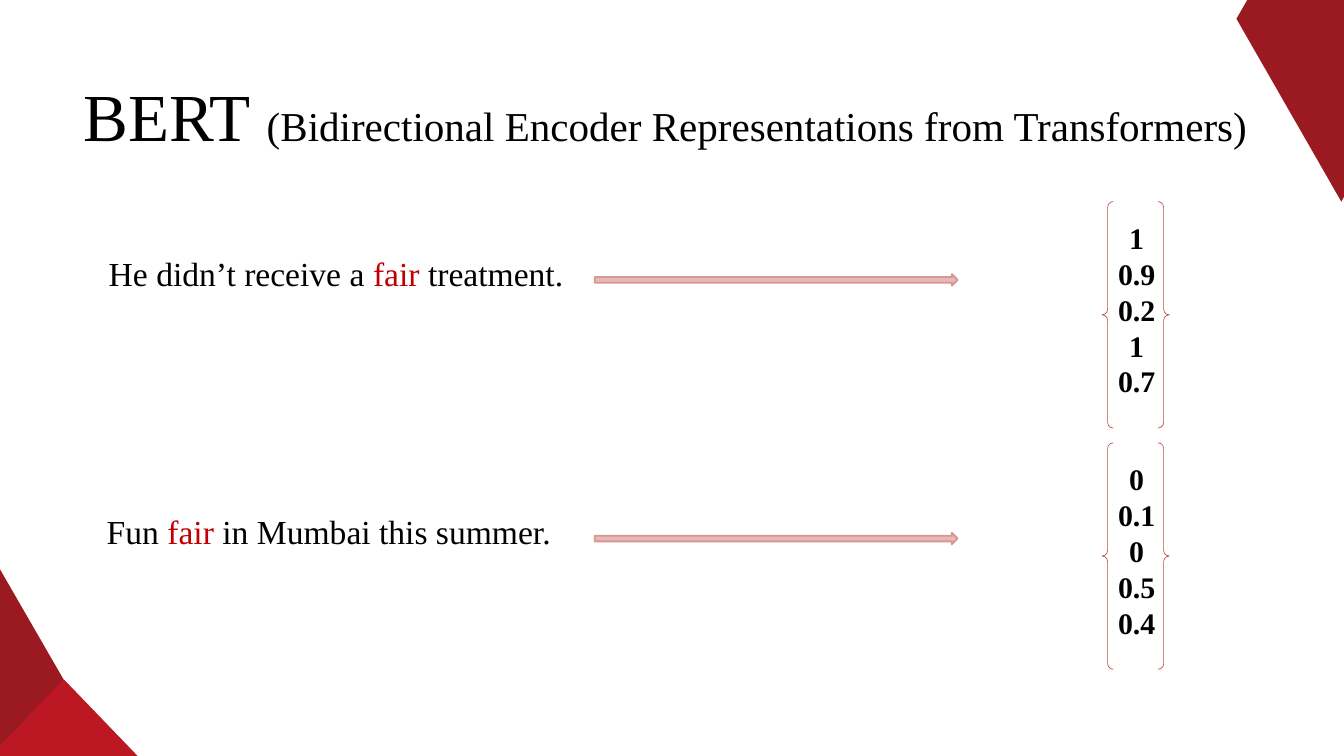
from pptx import Presentation
from pptx.dml.color import RGBColor
from pptx.enum.shapes import MSO_SHAPE as Shape
from pptx.enum.text import MSO_ANCHOR as Anchor, MSO_AUTO_SIZE as AutoSize, PP_ALIGN as Align
from pptx.util import Inches, Pt

FONT = "Times New Roman"
BLACK = RGBColor(0x00, 0x00, 0x00)
HIGHLIGHT = RGBColor(0xC0, 0x00, 0x00)
DARK_RED = RGBColor(0x9B, 0x19, 0x21)
BRIGHT_RED = RGBColor(0xBC, 0x18, 0x23)
ARROW_FILL = RGBColor(0xE6, 0xB9, 0xB8)
ARROW_LINE = RGBColor(0xD9, 0x96, 0x94)
BRACE_LINE = RGBColor(0xBF, 0x4C, 0x48)

LEFT_DIAMOND = [(-0.03, 13.86), (-1.59, 11.14), (-0.03, 8.42), (1.54, 11.14)]
LEFT_TRIANGLE = [(0.95, 10.11), (-0.62, 11.74), (2.52, 11.74)]
RIGHT_DIAMOND = [(19.96, -2.44), (21.53, 0.28), (19.96, 3), (18.4, 0.28)]

EXAMPLES = [
    (("He didn’t receive a ", "fair", " treatment."), (1.52, 3.71), 4.08,
     ("1", "0.9", "0.21", "0.7"), 3),
    (("Fun ", "fair", " in Mumbai this summer."), (1.49, 7.55), 7.93,
     ("0", "0.1", "0", "0.5", "0.4"), 6.59),
]


def add_corner(slide, points, color):
    corners = [(Inches(x), Inches(y)) for x, y in points]
    builder = slide.shapes.build_freeform(*corners[0])
    builder.add_line_segments(corners[1:], close=True)
    corner = builder.convert_to_shape()
    corner.shadow.inherit = False
    corner.fill.solid()
    corner.fill.fore_color.rgb = color
    corner.line.fill.background()


def add_run(paragraph, text, size, color=BLACK, bold=False):
    run = paragraph.add_run()
    run.text = text
    run.font.name = FONT
    run.font.size = Pt(size)
    run.font.bold = bold
    run.font.color.rgb = color


def set_title(slide):
    title = slide.shapes.title
    title.left, title.top = Inches(0.83), Inches(0.51)
    title.width, title.height = Inches(18.16), Inches(1.59)
    frame = title.text_frame
    frame.margin_left = frame.margin_top = frame.margin_right = frame.margin_bottom = 0
    frame.word_wrap = True
    frame.auto_size = AutoSize.SHAPE_TO_FIT_TEXT
    frame.vertical_anchor = Anchor.TOP
    heading = frame.paragraphs[0]
    heading.alignment = Align.CENTER
    heading.line_spacing = Pt(128.8)
    add_run(heading, "BERT ", 72)
    add_run(heading, "(Bidirectional Encoder Representations from Transformers)", 44)


def add_text_frame(slide, left, top, width, height):
    box = slide.shapes.add_textbox(Inches(left), Inches(top), Inches(width), Inches(height))
    frame = box.text_frame
    frame.word_wrap = True
    frame.auto_size = AutoSize.SHAPE_TO_FIT_TEXT
    return frame


def add_sentence(slide, parts, left, top):
    sentence = add_text_frame(slide, left, top, 7.33, 0.71).paragraphs[0]
    for text, color in zip(parts, (BLACK, HIGHLIGHT, BLACK)):
        add_run(sentence, text, 36, color)


def add_outlined(slide, kind, left, top, width, height, color, weight):
    outlined = slide.shapes.add_shape(
        kind, Inches(left), Inches(top), Inches(width), Inches(height))
    outlined.shadow.inherit = False
    outlined.fill.background()
    outlined.line.color.rgb = color
    outlined.line.width = Pt(weight)
    return outlined


def add_arrow(slide, top):
    arrow = add_outlined(slide, Shape.RIGHT_ARROW, 8.85, top, 5.4, 0.17, ARROW_LINE, 2)
    arrow.fill.solid()
    arrow.fill.fore_color.rgb = ARROW_FILL


def add_vector(slide, values, top):
    add_outlined(slide, Shape.DOUBLE_BRACE, 16.4, top, 1, 3.37, BRACE_LINE, 0.75)
    frame = add_text_frame(slide, 16.52, top + 0.22, 0.79, 3.33)
    for index, value in enumerate(values):
        entry = frame.add_paragraph() if index else frame.paragraphs[0]
        entry.alignment = Align.CENTER
        add_run(entry, value, 32, bold=True)


def main():
    deck = Presentation()
    deck.slide_width, deck.slide_height = Inches(20), Inches(11.25)
    slide = deck.slides.add_slide(deck.slide_layouts[5])
    add_corner(slide, LEFT_DIAMOND, DARK_RED)
    add_corner(slide, LEFT_TRIANGLE, BRIGHT_RED)
    add_corner(slide, RIGHT_DIAMOND, DARK_RED)
    set_title(slide)
    for parts, position, arrow_top, values, vector_top in EXAMPLES:
        add_sentence(slide, parts, *position)
        add_arrow(slide, arrow_top)
        add_vector(slide, values, vector_top)
    deck.save("out.pptx")


if __name__ == "__main__":
    main()
